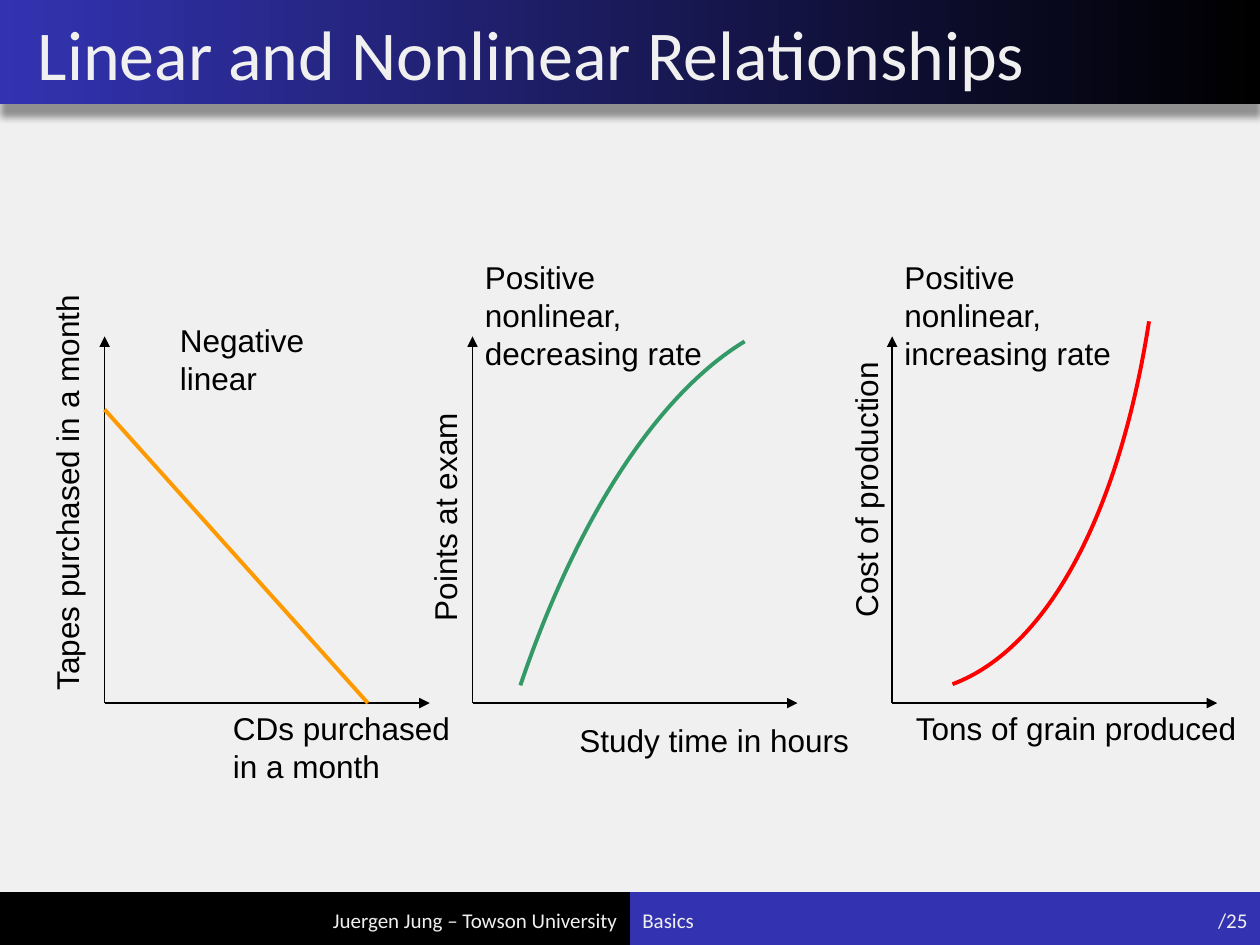
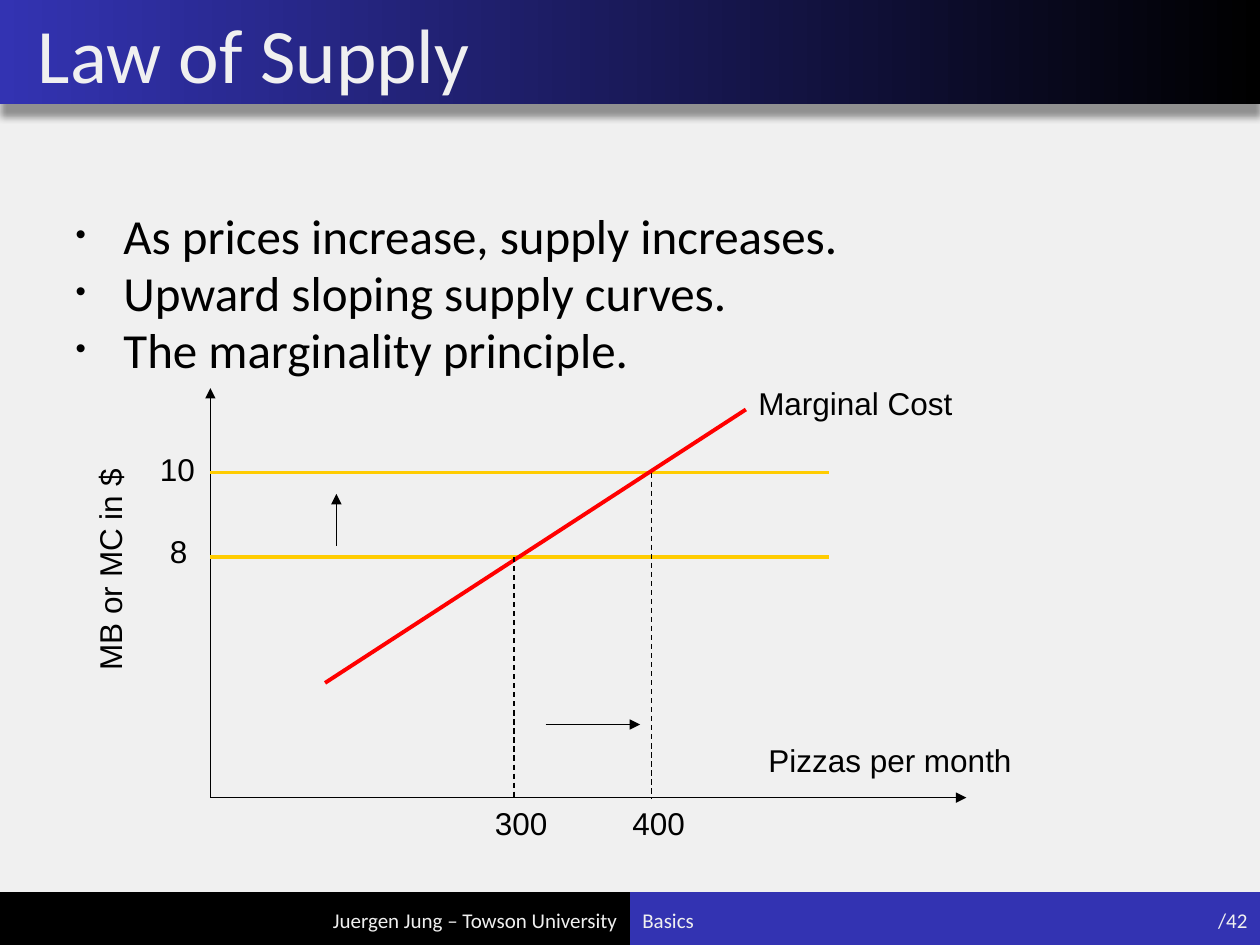
from dataclasses import dataclass

from lxml import etree
from pptx import Presentation
from pptx.dml.color import RGBColor
from pptx.enum.dml import MSO_LINE
from pptx.enum.shapes import MSO_CONNECTOR, MSO_SHAPE
from pptx.enum.text import MSO_ANCHOR, MSO_AUTO_SIZE, PP_ALIGN
from pptx.oxml import parse_xml
from pptx.oxml.ns import nsdecls, qn
from pptx.slide import Slide
from pptx.util import Inches, Pt

BLACK, BLUE, PALE = "000000", "3333B2", "F0F0F0"
ORANGE, GREEN, RED, YELLOW = "FF9900", "339966", "FF0000", "FFCC00"
SLIDE_WIDTH, SLIDE_HEIGHT = 10, 7.5
TITLE_HEIGHT, FOOTER_TOP = 0.83, 7.08
FOOTER_TEXT = {"size": Pt(12), "name": "Calibri", "color": PALE}
LABEL_TEXT = {"size": Pt(18), "name": "Arial", "color": BLACK}
TITLE_ONLY, TITLE_AND_CONTENT = 5, 1


def rgb(color):
    return RGBColor.from_string(color)


def set_font(font, **values):
    font.color.rgb = rgb(values.pop("color"))
    for name, value in values.items():
        setattr(font, name, value)


def set_frame(frame, **values):
    settings = {"word_wrap": True, "auto_size": MSO_AUTO_SIZE.NONE, **values}
    for name, value in settings.items():
        setattr(frame, name, value)


def add_text(slide, text, box, style, align=PP_ALIGN.LEFT, anchor=MSO_ANCHOR.TOP):
    shape = slide.shapes.add_textbox(*map(Inches, box))
    set_frame(shape.text_frame, vertical_anchor=anchor)
    paragraph = shape.text_frame.paragraphs[0]
    paragraph.alignment = align
    run = paragraph.add_run()
    run.text = text
    set_font(run.font, **style)
    return shape


def add_footer_text(slide, text, left, width, align=PP_ALIGN.LEFT):
    box = (left, FOOTER_TOP + 0.02, width, 0.4)
    return add_text(slide, text, box, FOOTER_TEXT, align, MSO_ANCHOR.MIDDLE)


def add_band(slide, left, top, width, height, color):
    band = slide.shapes.add_shape(
        MSO_SHAPE.RECTANGLE, *map(Inches, (left, top, width, height)))
    band.shadow.inherit = False
    band.line.fill.background()
    band.fill.solid()
    band.fill.fore_color.rgb = rgb(color)
    return band


def add_title_band(slide):
    """Draw the blue to black band with a soft shadow below it."""
    band = add_band(slide, 0, 0, SLIDE_WIDTH, TITLE_HEIGHT, BLUE)
    band.fill.gradient()
    band.fill.gradient_angle = 180
    for stop, position, color in zip(band.fill.gradient_stops, (0, 1), (BLACK, BLUE)):
        stop.position = position
        stop.color.rgb = rgb(color)
    effects = band.element.spPr.find(qn("a:effectLst"))
    effects.append(parse_xml(
        f'<a:outerShdw {nsdecls("a")} blurRad="{Pt(4)}" dist="{Pt(7)}" dir="5400000" '
        f'algn="t" rotWithShape="0"><a:srgbClr val="{BLACK}"><a:alpha val="40000"/>'
        '</a:srgbClr></a:outerShdw>'))
    return band


def furnish_master(master, slide):
    """Draw the shared bands on a slide, then move them to the back of its master."""
    master.background.fill.solid()
    master.background.fill.fore_color.rgb = rgb(PALE)
    half, height = SLIDE_WIDTH / 2, SLIDE_HEIGHT - FOOTER_TOP
    shared = [
        add_band(slide, half, FOOTER_TOP, half, height, BLUE),
        add_band(slide, 0, FOOTER_TOP, half, height, BLACK),
        add_title_band(slide),
        add_footer_text(slide, "Juergen Jung – Towson University", 1.17, 3.83,
                        PP_ALIGN.RIGHT),
    ]
    for index, shape in enumerate(shared):
        shape.element.nvSpPr.cNvPr.set("id", str(100 + index))
        master.shapes.element.insert(2 + index, shape.element)


def place(shape, *box):
    shape.left, shape.top, shape.width, shape.height = map(Inches, box)


def fill_frame(slide, title, size, page):
    """Write the title and the right half of the footer."""
    shape = slide.shapes.title
    place(shape, 0, 0, 9.75, TITLE_HEIGHT)
    shape.text_frame.text = title
    set_frame(shape.text_frame, vertical_anchor=MSO_ANCHOR.MIDDLE)
    paragraph = shape.text_frame.paragraphs[0]
    paragraph.alignment = PP_ALIGN.LEFT
    paragraph._p.get_or_add_pPr().set("marL", str(Inches(0.2)))
    set_font(paragraph.runs[0].font, size=Pt(size), name="Calibri", color=PALE)
    add_footer_text(slide, "Basics", SLIDE_WIDTH / 2, 3.83)
    add_footer_text(slide, page, 8.83, 1.17, PP_ALIGN.RIGHT)


def fill_bullets(body, items):
    place(body, 0.5, 1.67, 9, 1.42)
    body.text_frame.text = "\n".join(items)
    set_frame(body.text_frame, vertical_anchor=MSO_ANCHOR.TOP)
    for index, paragraph in enumerate(body.text_frame.paragraphs):
        properties = paragraph._p.get_or_add_pPr()
        properties.set("marL", str(Inches(0.38)))
        properties.set("indent", str(-Inches(0.38)))
        paragraph.line_spacing = 0.8
        paragraph.space_before = Pt(5.6 if index else 0)
        for tag, name, value in (("buSzPct", "val", "60000"),
                                 ("buFont", "typeface", "Arial"),
                                 ("buChar", "char", "•")):
            etree.SubElement(properties, qn(f"a:{tag}")).set(name, value)
        set_font(paragraph.runs[0].font, size=Pt(28), name="Calibri", color=BLACK)


@dataclass
class Plot:
    """A diagram whose points are (right, up) in inches from its origin."""
    slide: Slide
    left: float
    bottom: float

    def locate(self, point):
        return Inches(self.left + point[0]), Inches(self.bottom - point[1])

    def line(self, start, end, color=BLACK, width=0.75, arrow=False, dashed=False):
        connector = self.slide.shapes.add_connector(
            MSO_CONNECTOR.STRAIGHT, *self.locate(start), *self.locate(end))
        connector.line.color.rgb = rgb(color)
        connector.line.width = Pt(width)
        if dashed:
            connector.line.dash_style = MSO_LINE.DASH
        if arrow:
            outline = connector.line._get_or_add_ln()
            etree.SubElement(outline, qn("a:tailEnd")).set("type", "triangle")
        etree.SubElement(connector.element.spPr, qn("a:effectLst"))

    def axes(self, width, height):
        for end in ((0, height), (width, 0)):
            self.line((0, 0), end, arrow=True)

    def curve(self, points, color):
        """Draw one Bezier curve from a start, two control points and an end."""
        start, *others = map(self.locate, points)
        builder = self.slide.shapes.build_freeform(*start)
        builder.add_line_segments(others, close=False)
        shape = builder.convert_to_shape()
        shape.shadow.inherit = False
        shape.fill.background()
        shape.line.color.rgb = rgb(color)
        shape.line.width = Pt(2.25)
        segments = list(shape.element.iter(qn("a:lnTo")))
        bezier = etree.SubElement(segments[0].getparent(), qn("a:cubicBezTo"))
        for segment in segments:
            bezier.append(segment[0])
            segment.getparent().remove(segment)

    def label(self, text, right, up, width, height=0.4):
        box = (self.left + right, self.bottom - up, width, height)
        return add_text(self.slide, text, box, LABEL_TEXT)

    def vertical_label(self, text, right, up, length):
        """Write text upwards, centred on the given point."""
        shape = self.label(text, right - length / 2, up + 0.2, length)
        shape.rotation = 270


def build_relationships(slide):
    fill_frame(slide, "Linear and Nonlinear Relationships", 40, "/25")
    linear, decreasing, increasing = plots = [
        Plot(slide, left, 5.58) for left in (0.83, 3.75, 7.08)]
    for plot in plots:
        plot.axes(2.58, 2.91)

    linear.line((0, 2.33), (2.09, 0), ORANGE, 2.25)
    linear.label("Negative linear", 0.5, 3.08, 1.5, 0.7)
    linear.label("CDs purchased in a month", 0.92, 0, 2.08, 0.7)
    linear.vertical_label("Tapes purchased in a month", -0.3, 1.75, 3.5)

    decreasing.curve([(2.16, 2.87), (1.47, 2.45), (0.83, 1.47), (0.38, 0.14)], GREEN)
    decreasing.label("Positive nonlinear, decreasing rate", 0, 3.58, 2, 1)
    decreasing.label("Study time in hours", 0.75, -0.09, 2.75)
    decreasing.vertical_label("Points at exam", -0.22, 1.65, 2.2)

    increasing.curve([(0.48, 0.15), (1.23, 0.43), (1.8, 1.49), (2.04, 3.03)], RED)
    increasing.label("Positive nonlinear, increasing rate", 0, 3.58, 1.92, 1)
    increasing.label("Tons of grain produced", 0.09, 0, 2.83)
    increasing.vertical_label("Cost of production", -0.21, 1.83, 2.5)


def build_supply(slide):
    fill_frame(slide, "Law of Supply", 44, "/42")
    fill_bullets(slide.placeholders[1], [
        "As prices increase, supply increases.",
        "Upward sloping supply curves.",
        "The marginality principle.",
    ])
    plot = Plot(slide, 1.67, 6.33)
    plot.axes(6, 3.25)
    prices, quantities = (2.58, 1.91), (3.5, 2.41)
    for price in prices:
        plot.line((0, price), (4.91, price), YELLOW, 2.25)
    plot.line((0.91, 0.91), (4.25, 3.08), RED, 2.25)
    for quantity, price, text in zip(quantities, prices, ("400", "300")):
        plot.line((quantity, price), (quantity, 0), dashed=True)
        plot.label(text, quantity - 0.25, 0, 0.92)
    plot.label("10", -0.5, 2.81, 0.67)
    plot.label("8", -0.42, 2.16, 0.42)
    plot.vertical_label("MB or MC in $", -0.8, 2.41, 3)
    plot.label("Marginal Cost", 4.25, 3.33, 2)
    plot.label("Pizzas per month", 4.33, 0.5, 2.5)
    plot.line((1, 2), (1, 2.41), arrow=True)
    plot.line((2.66, 0.58), (3.41, 0.58), arrow=True)


def main():
    presentation = Presentation()
    presentation.slide_width = Inches(SLIDE_WIDTH)
    presentation.slide_height = Inches(SLIDE_HEIGHT)
    layouts = presentation.slide_layouts
    relationships = presentation.slides.add_slide(layouts[TITLE_ONLY])
    supply = presentation.slides.add_slide(layouts[TITLE_AND_CONTENT])
    furnish_master(presentation.slide_master, relationships)
    build_relationships(relationships)
    build_supply(supply)
    presentation.save("out.pptx")


if __name__ == "__main__":
    main()
